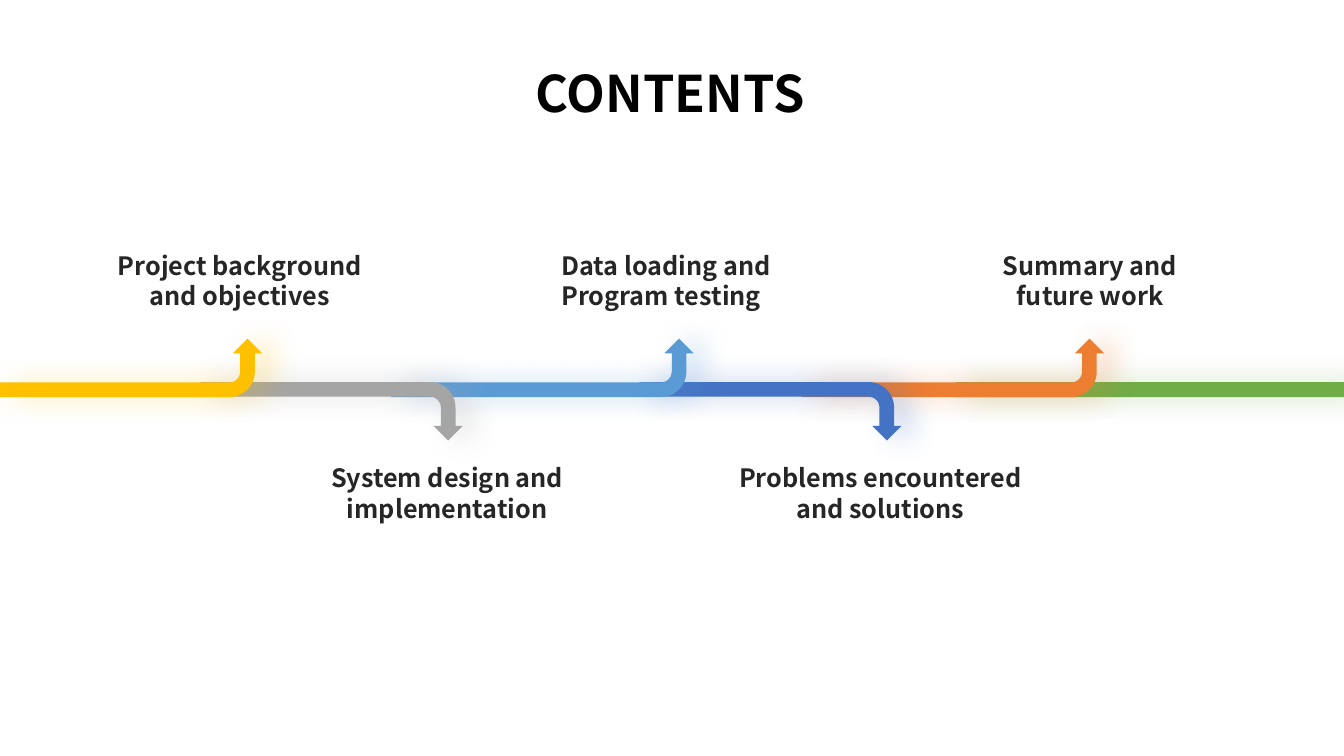
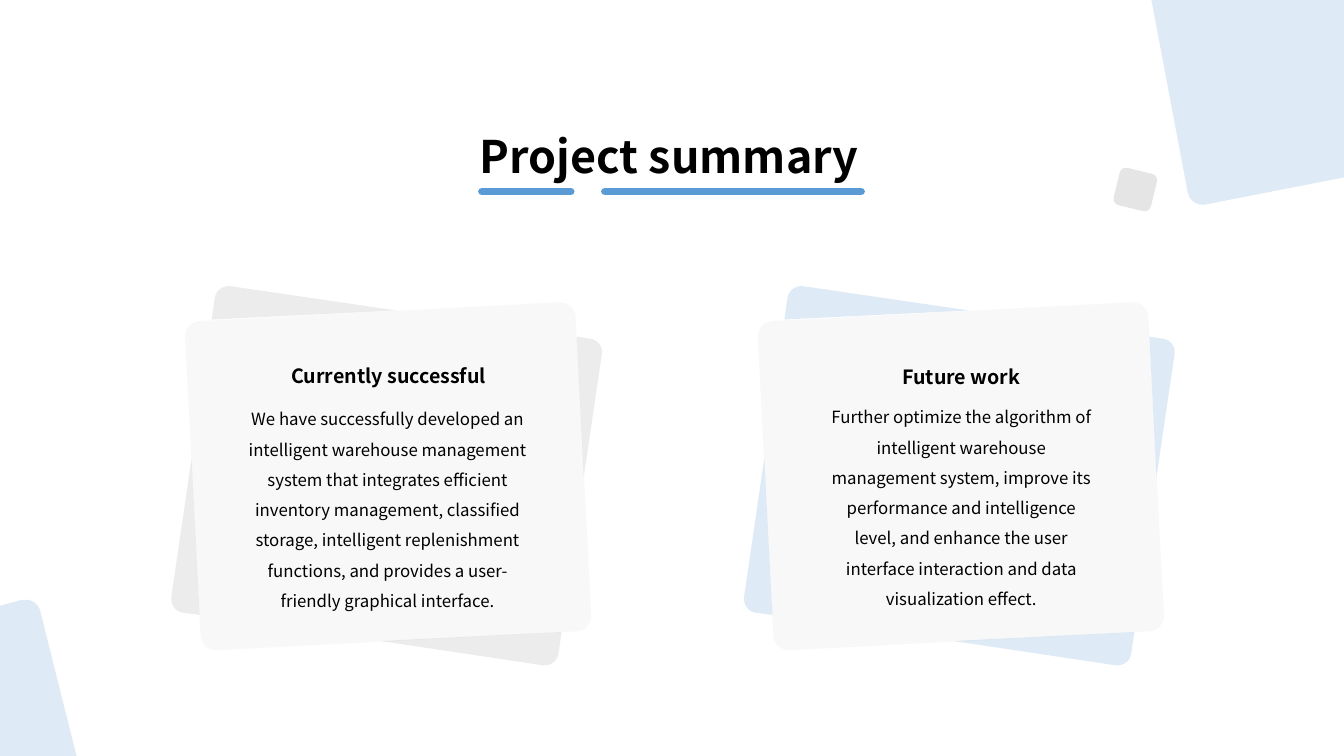
import pptx
import pptx.util
import pptx.dml.color
import pptx.enum.shapes
import pptx.enum.text
import pptx.oxml.ns
import lxml.etree

W, H = 13.33, 7.5
FONT = "Noto Sans CJK SC"
COLORS = {
    "black": "000000", "label": "262626", "grey": "808080", "blue": "5B9BD5",
    "yellow": "FFC000", "silver": "A5A5A5", "navy": "4472C4",
    "orange": "ED7D31", "green": "70AD47",
}
SHAPE = pptx.enum.shapes.MSO_SHAPE
ALIGN = pptx.enum.text.PP_ALIGN
ANCHOR = pptx.enum.text.MSO_ANCHOR
FIT = pptx.enum.text.MSO_AUTO_SIZE
inch = pptx.util.Inches
qn = pptx.oxml.ns.qn


def rgb(name):
    return pptx.dml.color.RGBColor.from_string(COLORS[name])


def paint(sp, color, opacity=100):
    """Flat fill, no outline, no shadow."""
    sp.shadow.inherit = False
    sp.line.fill.background()
    sp.fill.solid()
    sp.fill.fore_color.rgb = rgb(color)
    if opacity < 100:
        clr = sp._element.spPr.find(qn("a:solidFill"))[0]
        lxml.etree.SubElement(clr, qn("a:alpha"), val=str(opacity * 1000))
    return sp


def glow(sp, color):
    """Soft coloured shadow to the right."""
    effects = sp._element.spPr.find(qn("a:effectLst"))
    shadow = lxml.etree.SubElement(
        effects, qn("a:outerShdw"), blurRad=str(pptx.util.Pt(20)),
        dist=str(pptx.util.Pt(10)), dir="0", algn="l", rotWithShape="0")
    clr = lxml.etree.SubElement(shadow, qn("a:srgbClr"), val=COLORS[color])
    lxml.etree.SubElement(clr, qn("a:alpha"), val="32000")


def shape(s, kind, box, color, opacity=100, rotation=0, radius=None):
    sp = s.shapes.add_shape(kind, *map(inch, box))
    sp.rotation = rotation
    if radius is not None:
        sp.adjustments[0] = radius
    return paint(sp, color, opacity)


def format_text(tf, lines, size, color="black", bold=False, align=ALIGN.CENTER,
                spacing=None, anchor=ANCHOR.TOP):
    tf.word_wrap = True
    tf.vertical_anchor = anchor
    tf.text = lines
    for p in tf.paragraphs:
        p.alignment = align
        p.line_spacing = spacing
        p.font.name = FONT
        p.font.size = pptx.util.Pt(size)
        p.font.bold = bold
        p.font.color.rgb = rgb(color)


def text(s, box, lines, size, **style):
    tf = s.shapes.add_textbox(*map(inch, box)).text_frame
    format_text(tf, lines, size, **style)
    tf.auto_size = FIT.SHAPE_TO_FIT_TEXT


def titled_slide(prs, title, box, size, **style):
    s = prs.slides.add_slide(prs.slide_layouts[5])
    sp = s.shapes.title
    sp.left, sp.top, sp.width, sp.height = map(inch, box)
    format_text(sp.text_frame, title, size, bold=True, align=ALIGN.LEFT, **style)
    sp.text_frame.auto_size = FIT.NONE
    return s


def flatten(contour, left, top):
    """Points of a contour; an entry of three points is a Bézier curve."""
    points = []
    for step in contour:
        if isinstance(step[0], tuple):
            knots = [start, *step]
            for i in range(1, 9):
                t = i / 8
                weights = ((1 - t) ** 3, 3 * t * (1 - t) ** 2,
                           3 * t * t * (1 - t), t ** 3)
                points.append([sum(w * k[axis] for w, k in zip(weights, knots))
                               for axis in (0, 1)])
            start = step[-1]
        else:
            points.append(step)
            start = step
    return [(inch(left + x), inch(top + y)) for x, y in points]


def outline(s, contours, color, opacity, left=0, top=0):
    builder = None
    for contour in contours:
        first, *rest = flatten(contour, left, top)
        if builder is None:
            builder = s.shapes.build_freeform(*first, scale=1.0)
        else:
            builder.move_to(*first)
        builder.add_line_segments(rest, close=True)
    return paint(builder.convert_to_shape(), color, opacity)


# Contents: a road of bent arrows with labels above and below
ROAD = 3.79         # top of the road
THICK = 0.15
TURN = 0.58         # height of a bent arrow


def road_arrow(s, left, length, up, color):
    middle_y = ROAD + THICK - TURN / 2 if up else ROAD + TURN / 2
    # The box is upright before it is turned on its centre
    box = (left + (length - TURN) / 2, middle_y - length / 2, TURN, length)
    sp = shape(s, SHAPE.BENT_ARROW, box, color, rotation=270 if up else 90)
    if up:
        sp._element.spPr.xfrm.set("flipV", "1")
    glow(sp, color)


def contents_slide(prs):
    s = titled_slide(prs, "CONTENTS", (5.21, 0.63, 3.11, 0.97), 36, spacing=0.9)
    end = shape(s, SHAPE.RECTANGLE, (9.48, ROAD, W - 9.48, THICK), "green")
    glow(end, "green")
    # Arrow left, length, colour, label left, label width, label
    stops = [
        (0, 2.6, "yellow", 0.88, 3, "Project background and objectives"),
        (1.99, 2.6, "silver", 2.98, 2.91, "System design and implementation"),
        (3.88, 3, "blue", 5.47, 2.6, "Data loading and\nProgram testing"),
        (6.34, 2.6, "navy", 7.11, 3.24, "Problems encountered and solutions"),
        (7.95, 3, "orange", 9.65, 2.32, "Summary and future work"),
    ]
    for i, (left, length, color, *_) in reversed(list(enumerate(stops))):
        road_arrow(s, left, length, i % 2 == 0, color)
    for i, (*_, left, width, label) in enumerate(stops):
        text(s, (left, 4.54 if i % 2 else 2.43, width, 0.71), label, 18,
             color="label", bold=True,
             align=ALIGN.LEFT if "\n" in label else ALIGN.CENTER)


# Summary: two cards, each on a tilted sheet of which only the corners show
SHEET_CORNERS = [
    [(3.87, 3.43), (3.84, 3.64), ((3.83, 3.72), (3.76, 3.77), (3.68, 3.76)),
     (2.08, 3.52)],
    [(0.2, 1.71), (0.28, 3.26), (0.12, 3.24),
     ((0.04, 3.23), (-0.01, 3.16), (0, 3.08))],
    [(4.02, 0.5), (4.15, 0.52), ((4.23, 0.53), (4.28, 0.6), (4.27, 0.67)),
     (4.09, 1.89)],
    [(0.59, 0), (2.23, 0.24), (0.4, 0.33), (0.43, 0.12),
     ((0.44, 0.04), (0.51, -0.01), (0.59, 0))],
]


def card(s, left, top, color, opacity, heading, head_y, body, body_box):
    x, y, width = body_box
    outline(s, SHEET_CORNERS, color, opacity, left, top)
    shape(s, SHAPE.ROUNDED_RECTANGLE, (left + 0.21, top + 0.25, 3.88, 3.27),
          "grey", 5, rotation=357, radius=0.047)
    text(s, (left + x, top + y, width, 2.19), body, 12, spacing=1.5)
    text(s, (left + 0.73, top + head_y, 2.85, 0.34), heading, 14, bold=True,
         anchor=ANCHOR.MIDDLE)


def underline(s, x1, x2, y):
    cn = s.shapes.add_connector(pptx.enum.shapes.MSO_CONNECTOR.STRAIGHT,
                                inch(x1), inch(y), inch(x2), inch(y))
    cn.line.color.rgb = rgb("blue")
    cn.line.width = pptx.util.Pt(5.5)
    cn.line._get_or_add_ln().set("cap", "rnd")
    lxml.etree.SubElement(cn._element.spPr, qn("a:effectLst"))


def corner_decor(s):
    shape(s, SHAPE.ROUNDED_RECTANGLE, (11.07, 1.69, 0.38, 0.38), "grey", 20,
          rotation=13.6)
    bottom_left = [(0.28, 5.95), ((0.33, 5.96), (0.38, 6), (0.4, 6.06)),
                   (0.76, H), (0, H), (0, 6.01), (0.22, 5.95),
                   ((0.24, 5.95), (0.26, 5.95), (0.28, 5.95))]
    top_right = [(11.42, 0), (W, 0), (W, 1.76), (11.95, 2.03),
                 ((11.87, 2.04), (11.8, 1.99), (11.78, 1.91))]
    for contour in (bottom_left, top_right):
        outline(s, [contour], "blue", 20)


def summary_slide(prs):
    s = titled_slide(prs, "Project summary", (4.66, 1.22, 4.67, 0.64), 32,
                     anchor=ANCHOR.MIDDLE)
    for x1, x2 in ((4.78, 5.66), (6, 8.54)):
        underline(s, x1, x2, 1.9)
    card(s, 1.7, 2.84, "grey", 15, "Currently successful", 0.72,
         "We have successfully developed an intelligent warehouse management "
         "system that integrates efficient inventory management, classified "
         "storage, intelligent replenishment functions, and provides a "
         "user-friendly graphical interface.", (0.58, 1.07, 3.13))
    card(s, 7.38, 2.84, "blue", 20, "Future work", 0.73,
         "Further optimize the algorithm of intelligent warehouse management "
         "system, improve its performance and intelligence level, and enhance "
         "the user interface interaction and data visualization effect.",
         (0.73, 1.05, 2.85))
    corner_decor(s)


def main():
    prs = pptx.Presentation()
    prs.slide_width, prs.slide_height = inch(W), inch(H)
    contents_slide(prs)
    summary_slide(prs)
    prs.save("out.pptx")


if __name__ == "__main__":
    main()
